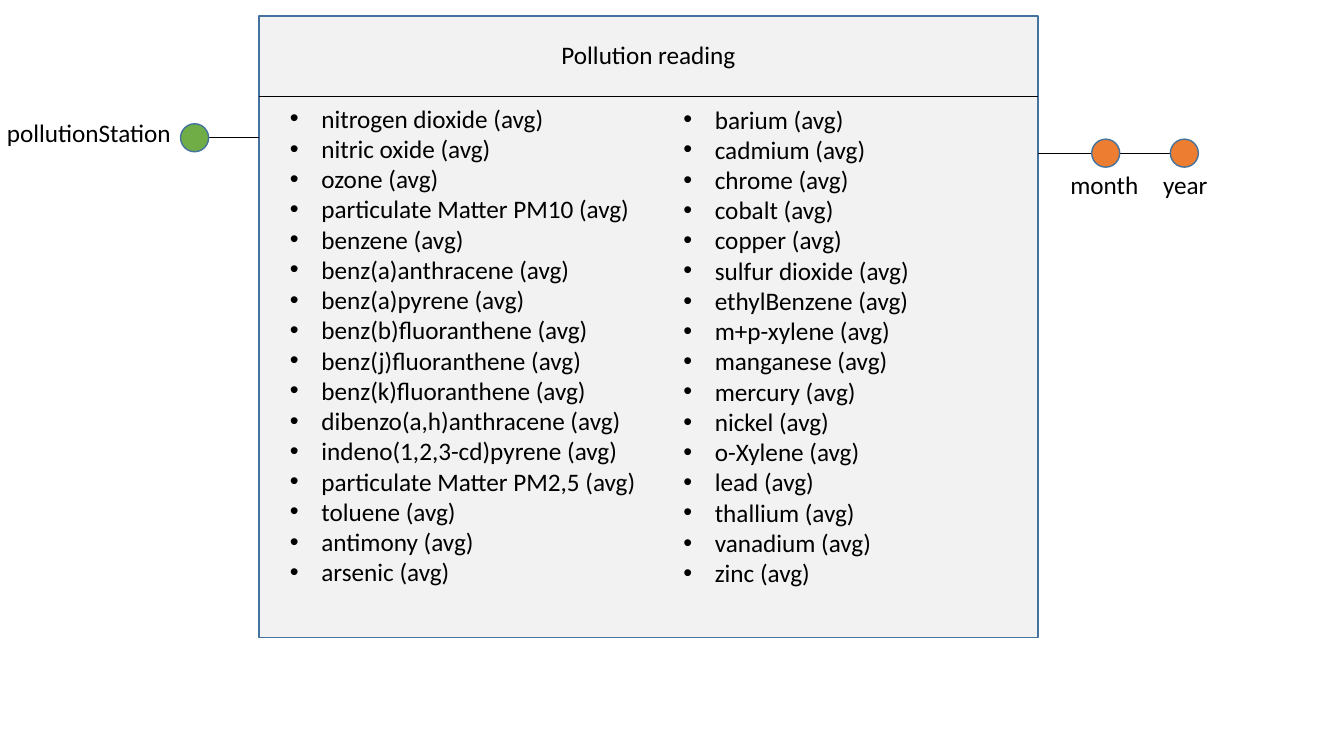
from lxml import etree
from pptx import Presentation
from pptx.dml.color import RGBColor
from pptx.enum.shapes import MSO_CONNECTOR, MSO_SHAPE
from pptx.enum.text import MSO_AUTO_SIZE, PP_ALIGN
from pptx.oxml.ns import qn
from pptx.util import Pt

RECT, OVAL = MSO_SHAPE.RECTANGLE, MSO_SHAPE.OVAL
STRAIGHT = MSO_CONNECTOR.STRAIGHT
LEFT, CENTER = PP_ALIGN.LEFT, PP_ALIGN.CENTER
GROW = MSO_AUTO_SIZE.SHAPE_TO_FIT_TEXT

TITLE = "Pollution reading"
FIRST = [
    "nitrogen dioxide", "nitric oxide", "ozone", "particulate Matter PM10",
    "benzene", "benz(a)anthracene", "benz(a)pyrene", "benz(b)fluoranthene",
    "benz(j)fluoranthene", "benz(k)fluoranthene", "dibenzo(a,h)anthracene",
    "indeno(1,2,3-cd)pyrene", "particulate Matter PM2,5", "toluene",
    "antimony", "arsenic",
]
SECOND = [
    "barium", "cadmium", "chrome", "cobalt", "copper", "sulfur dioxide",
    "ethylBenzene", "m+p-xylene", "manganese", "mercury", "nickel",
    "o-Xylene", "lead", "thallium", "vanadium", "zinc",
]
# text, left, top, width of the label; centre of its dot; colour
NODES = [
    ("pollutionStation", -2.2, 80, 133.2, (139, 98.4), "green"),
    ("month", 757.4, 117.6, 64.1, (789.8, 109.4), "orange"),
    ("year", 823.7, 117.6, 46.8, (846, 109.4), "orange"),
]
# items, left, top, width
LISTS = [(FIRST, 200, 70, 264.2), (SECOND, 481, 70.6, 177.8)]

COLORS = {"panel": "F2F2F2", "edge": "43739E", "ink": "000000",
          "green": "70AD47", "orange": "ED7D31"}
FONT, SIZE = "Calibri", 18
X, Y, W, H = 185, 11.5, 556.5, 444
RULE = 68.5
DOT, INDENT, LINE_H = 20, 22.5, 28.8


def color(name):
    return RGBColor.from_string(COLORS[name])


def add_form(slide, kind, x, y, w, h, fill):
    form = slide.shapes.add_shape(kind, Pt(x), Pt(y), Pt(w), Pt(h))
    form.shadow.inherit = False
    form.fill.solid()
    form.fill.fore_color.rgb = color(fill)
    form.line.color.rgb = color("edge")
    form.line.width = Pt(1)


def add_line(slide, x1, x2, y):
    line = slide.shapes.add_connector(STRAIGHT, Pt(x1), Pt(y), Pt(x2), Pt(y))
    line.line.color.rgb = color("ink")
    line.line.width = Pt(0.5)
    etree.SubElement(line._element.spPr, qn("a:effectLst"))


def add_bullet(para):
    props = para._p.get_or_add_pPr()
    props.set("marL", str(Pt(INDENT)))
    props.set("indent", str(-Pt(INDENT)))
    etree.SubElement(props, qn("a:buFont")).set("typeface", "Arial")
    etree.SubElement(props, qn("a:buChar")).set("char", "•")


def add_text(slide, lines, x, y, w, h=LINE_H, align=LEFT, wrap=False, bullet=False):
    box = slide.shapes.add_textbox(Pt(x), Pt(y), Pt(w), Pt(h))
    frame = box.text_frame
    frame.word_wrap = wrap
    frame.auto_size = GROW
    frame.text = "\n".join(lines)
    for para in frame.paragraphs:
        para.alignment = align
        if bullet:
            add_bullet(para)
        font = para.runs[0].font
        font.name, font.size = FONT, Pt(SIZE)
        font.color.rgb = color("ink")


def main():
    deck = Presentation()
    deck.slide_width, deck.slide_height = Pt(960), Pt(540)
    slide = deck.slides.add_slide(deck.slide_layouts[6])

    add_form(slide, RECT, X, Y, W, H, "panel")
    add_line(slide, X, X + W, RULE)
    add_text(slide, [TITLE], X, 24.6, W, align=CENTER, wrap=True)

    station, month, year = [node[4] for node in NODES]
    add_line(slide, station[0], X, station[1])
    add_line(slide, X + W, month[0], month[1])
    add_line(slide, month[0], year[0], year[1])
    for text, x, y, w, (cx, cy), fill in NODES:
        add_form(slide, OVAL, cx - DOT / 2, cy - DOT / 2, DOT, DOT, fill)
        add_text(slide, [text], x, y, w)

    for items, x, y, w in LISTS:
        lines = [f"{item} (avg)" for item in items]
        add_text(slide, lines, x, y, w, h=356.4, bullet=True)

    deck.save("out.pptx")


if __name__ == "__main__":
    main()
